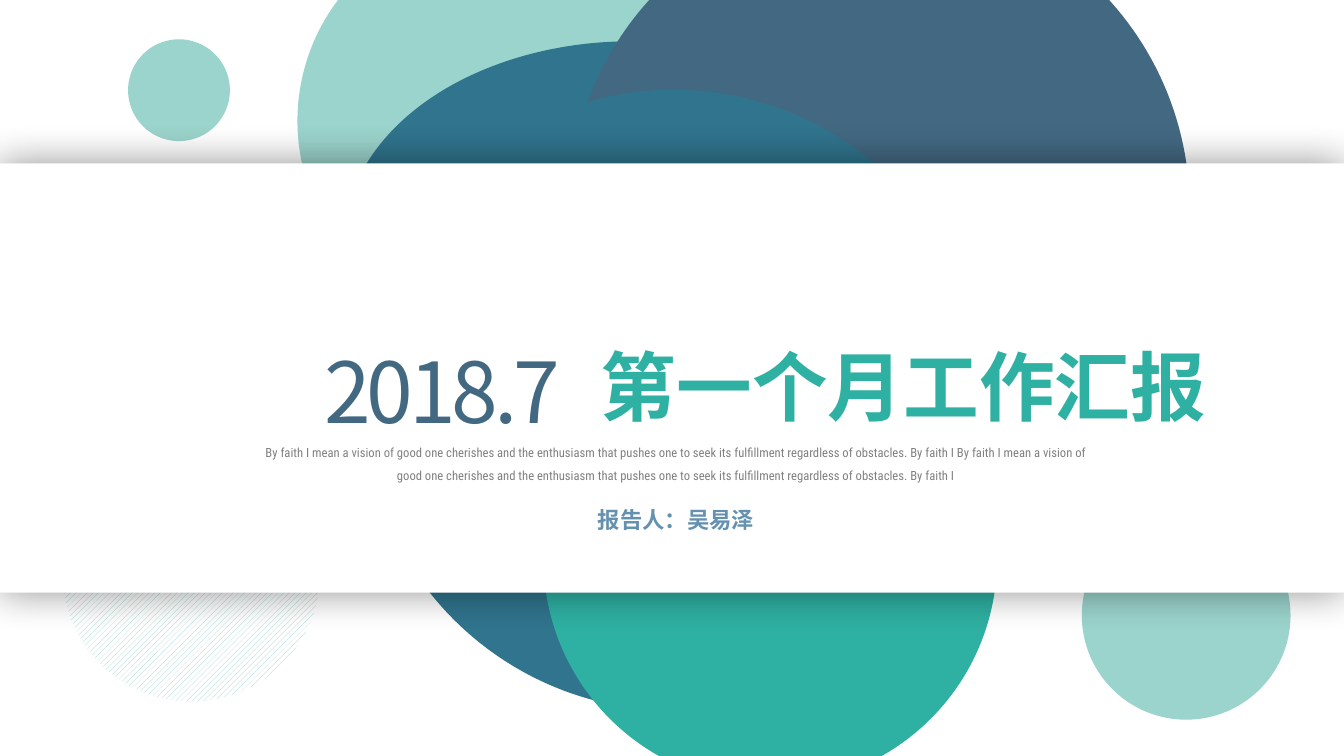
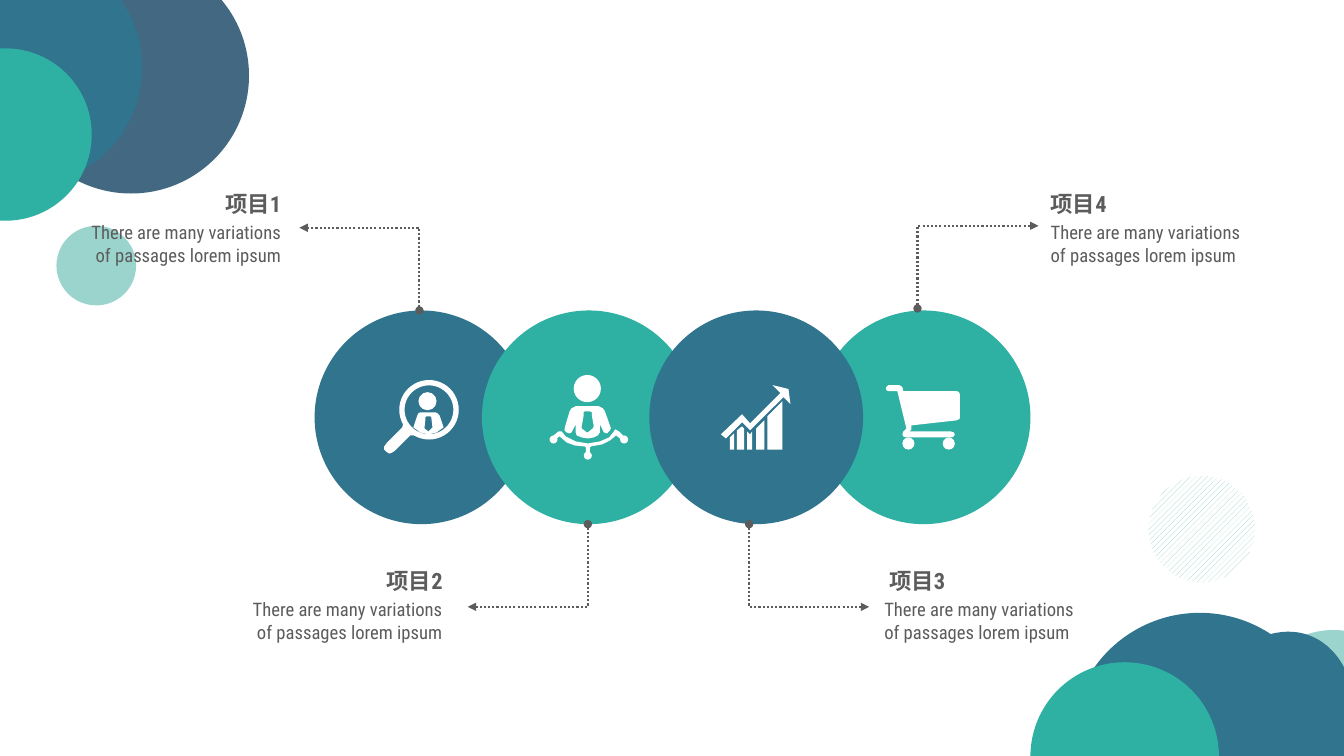
from copy import deepcopy
from dataclasses import dataclass
from typing import Optional

from pptx import Presentation
from pptx.dml.color import RGBColor
from pptx.enum.dml import MSO_LINE, MSO_PATTERN
from pptx.enum.shapes import MSO_CONNECTOR, MSO_SHAPE as Preset
from pptx.enum.text import MSO_ANCHOR, MSO_AUTO_SIZE, PP_ALIGN as Align
from pptx.oxml import parse_xml
from pptx.oxml.ns import nsdecls, qn
from pptx.oxml.xmlchemy import OxmlElement
from pptx.util import Inches, Pt


@dataclass(frozen=True)
class Theme:
    mint: RGBColor = RGBColor(0x9B, 0xD4, 0xCC)
    teal: RGBColor = RGBColor(0x2E, 0xB0, 0xA2)
    blue: RGBColor = RGBColor(0x30, 0x74, 0x8D)
    slate: RGBColor = RGBColor(0x43, 0x69, 0x82)
    sky: RGBColor = RGBColor(0x64, 0x91, 0xB0)
    gray: RGBColor = RGBColor(0x80, 0x80, 0x80)
    ink: RGBColor = RGBColor(0x5C, 0x5C, 0x5C)
    white: RGBColor = RGBColor(0xFF, 0xFF, 0xFF)
    cjk: str = "Noto Sans CJK SC"
    latin: str = "Roboto Condensed"
    date_size: float = 60
    title_size: float = 54
    heading_size: float = 16
    body_size: float = 13.3
    small_size: float = 9


THEME = Theme()
Points = list[tuple[int, int]]


@dataclass(frozen=True)
class Bubble:
    left: float
    top: float
    width: float
    color: RGBColor
    height: Optional[float] = None
    rotation: float = 0
    striped: bool = False


@dataclass(frozen=True)
class Style:
    size: float
    color: RGBColor
    font: str
    bold: bool = False
    tracking: int = 0


@dataclass(frozen=True)
class Item:
    heading: str
    left: float
    top: float
    align: Align
    start: tuple[float, float]
    end: tuple[float, float]
    indent_side: str = "marL"
    indent: float = 0


@dataclass(frozen=True)
class Icon:
    outlines: list[list[Points]]
    dots: list[Bubble]


HEADING = Style(THEME.heading_size, THEME.ink, THEME.latin, bold=True)
BODY = Style(THEME.body_size, THEME.ink, THEME.latin)
BODY_TEXT = "There are many variations\vof passages lorem ipsum"

COVER_BUBBLES = [
    Bubble(10.73, 5.07, 2.07, THEME.mint),
    Bubble(2.95, -0.79, 3.98, THEME.mint),
    Bubble(3.41, 0.41, 5.7, THEME.blue, height=3.98),
    Bubble(5.64, -1.01, 6.16, THEME.slate),
    Bubble(3.6, 0.89, 6.16, THEME.blue),
    Bubble(5.39, 3.29, 4.5, THEME.teal),
    Bubble(1.27, 0.39, 1.01, THEME.mint),
    Bubble(0.62, 4.4, 2.56, THEME.mint, striped=True),
]

CORNER_BUBBLES = [
    Bubble(0.56, 2.24, 0.79, THEME.mint),
    Bubble(0.13, -0.42, 2.34, THEME.slate),
    Bubble(-0.93, -0.5, 2.34, THEME.blue),
    Bubble(-0.8, 0.48, 1.71, THEME.teal),
    Bubble(12.4, 6.25, 1.65, THEME.mint),
    Bubble(11.39, 6.59, 2.37, THEME.blue, height=1.65, rotation=110.1),
    Bubble(10.62, 6.08, 2.56, THEME.blue),
    Bubble(10.22, 6.57, 1.87, THEME.teal),
    Bubble(11.39, 4.72, 1.06, THEME.mint, rotation=110.1, striped=True),
]

ITEMS = [
    Item("项目4", 10.42, 1.89, Align.LEFT, (9.1, 3.06), (10.3, 2.24)),
    Item("项目1", 0.81, 1.89, Align.RIGHT, (4.16, 3.08), (2.97, 2.26), "marR", 0.1),
    Item("项目3", 8.77, 5.63, Align.LEFT, (7.43, 5.2), (8.62, 6.02), "marL", 0.05),
    Item("项目2", 2.41, 5.63, Align.RIGHT, (5.83, 5.2), (4.64, 6.02), "marR", 0.1),
]

SEARCH = Icon(
    [
        [[(399, 424), (384, 439), (381, 443), (381, 446), (383, 448), (386, 450),
          (389, 449), (392, 447), (407, 432), (412, 432), (400, 420)]],
        [[(440, 424), (436, 412), (434, 410), (432, 409), (417, 409), (415, 410),
          (414, 412), (410, 424), (417, 429), (425, 431), (433, 429)],
         [(428, 425), (425, 428), (421, 425), (422, 416), (422, 414), (423, 413),
          (427, 413), (428, 414), (428, 416), (429, 424)]],
    ],
    [Bubble(4.15, 3.89, 0.18, THEME.white)],
)

LEADER = Icon(
    [
        [[(606, 425), (600, 408), (598, 405), (594, 403), (571, 403), (567, 405),
          (565, 408), (560, 425), (560, 427), (562, 429), (565, 430), (567, 429),
          (571, 421), (571, 429), (572, 432), (577, 434), (583, 435), (589, 434),
          (593, 432), (595, 429), (595, 421), (599, 429), (602, 430), (605, 427)],
         [(588, 425), (583, 429), (582, 429), (577, 425), (577, 423), (579, 412),
          (579, 409), (580, 408), (585, 408), (587, 409), (587, 412), (589, 423)]],
        [[(618, 432), (614, 428), (610, 426), (609, 428), (604, 434), (595, 438),
          (583, 440), (571, 438), (561, 433), (557, 428), (554, 428), (549, 432),
          (552, 435), (555, 433), (562, 439), (570, 442), (580, 443), (581, 444),
          (581, 449), (585, 449), (585, 444), (586, 443), (597, 441), (605, 437),
          (611, 432), (616, 436)]],
    ],
    [Bubble(5.69, 3.72, 0.27, THEME.white)]
    + [Bubble(x, y, 0.08, THEME.white) for x, y in ((5.45, 4.32), (5.79, 4.48), (6.15, 4.32))],
)

GROWTH = Icon(
    [
        [[(731, 427), (731, 446), (738, 446), (738, 425), (736, 423)]],
        [[(724, 446), (728, 446), (728, 430), (724, 434)]],
        [[(761, 413), (761, 446), (776, 446), (776, 398)]],
        [[(750, 425), (750, 446), (758, 446), (758, 417)]],
        [[(744, 431), (741, 428), (741, 446), (746, 446), (746, 428)]],
        [[(777, 394), (784, 401), (782, 386), (766, 382), (774, 390), (744, 420),
          (736, 411), (715, 431), (720, 435), (736, 419), (744, 427)]],
    ],
    [],
)

CART = Icon(
    [
        [[(952, 415), (951, 416), (949, 417), (904, 422), (904, 426), (902, 428),
          (943, 428), (946, 429), (947, 431), (946, 433), (943, 434), (899, 434),
          (896, 433), (895, 431), (896, 428), (899, 425), (890, 388), (881, 388),
          (879, 387), (879, 384), (881, 382), (892, 382), (895, 384), (896, 388),
          (949, 388), (951, 389), (952, 391)]],
    ],
    [Bubble(x, 4.34, 0.12, THEME.white) for x in (8.95, 9.35)],
)


def paint(shape, color: RGBColor) -> None:
    shape.shadow.inherit = False
    shape.fill.solid()
    shape.fill.fore_color.rgb = color
    shape.line.fill.background()


def add_preset(slide, preset: Preset, left: float, top: float, width: float,
               height: float, color: RGBColor):
    shape = slide.shapes.add_shape(
        preset, Inches(left), Inches(top), Inches(width), Inches(height))
    paint(shape, color)
    return shape


def add_bubble(slide, bubble: Bubble) -> None:
    circle = add_preset(slide, Preset.OVAL, bubble.left, bubble.top, bubble.width,
                        bubble.height or bubble.width, bubble.color)
    circle.rotation = bubble.rotation
    if bubble.striped:
        circle.fill.patterned()
        circle.fill.pattern = MSO_PATTERN.WIDE_UPWARD_DIAGONAL
        circle.fill.fore_color.rgb = bubble.color
        circle.fill.back_color.rgb = THEME.white


def add_icon(slide, icon: Icon) -> None:
    for contours in icon.outlines:
        builder = slide.shapes.build_freeform(*contours[0][0], scale=Inches(0.01))
        builder.add_line_segments(contours[0][1:], close=True)
        for contour in contours[1:]:
            builder.move_to(*contour[0])
            builder.add_line_segments(contour[1:], close=True)
        paint(builder.convert_to_shape(), THEME.white)
    for dot in icon.dots:
        add_bubble(slide, dot)


def format_paragraph(paragraph, style: Style, align: Align) -> None:
    paragraph.alignment = align
    for run in paragraph.runs:
        font = run.font
        font.size = Pt(style.size)
        font.bold = style.bold
        font.color.rgb = style.color
        font.name = style.font
        properties = run._r.get_or_add_rPr()
        east_asian = OxmlElement("a:ea")
        east_asian.set("typeface", style.font)
        properties.find(qn("a:latin")).addnext(east_asian)
        if style.tracking:
            properties.set("spc", str(style.tracking))
    for line_break in paragraph._p.findall(qn("a:br")):
        line_break.insert(0, deepcopy(paragraph.runs[0]._r.rPr))


def fill_frame(frame, text: str, styles: list[Style], align: Align, wrap: bool = True) -> None:
    frame.text = text
    frame.word_wrap = wrap
    frame.auto_size = MSO_AUTO_SIZE.NONE
    frame.vertical_anchor = MSO_ANCHOR.TOP
    for paragraph, style in zip(frame.paragraphs, styles):
        format_paragraph(paragraph, style, align)


def add_text(slide, left: float, top: float, width: float, height: float,
             text: str, styles: list[Style], align: Align):
    frame = slide.shapes.add_textbox(
        Inches(left), Inches(top), Inches(width), Inches(height)).text_frame
    fill_frame(frame, text, styles, align)
    return frame


def add_leader(slide, start: tuple[float, float], end: tuple[float, float]) -> None:
    leader = slide.shapes.add_connector(
        MSO_CONNECTOR.ELBOW, *(Inches(value) for value in start + end))
    leader.line.color.rgb = THEME.ink
    leader.line.width = Pt(1.5)
    leader.line.dash_style = MSO_LINE.ROUND_DOT
    for tag, kind in (("a:headEnd", "oval"), ("a:tailEnd", "triangle")):
        arrowhead = OxmlElement(tag)
        arrowhead.set("type", kind)
        leader.line._ln.append(arrowhead)
    properties = leader._element.spPr
    properties.append(OxmlElement("a:effectLst"))
    bend = OxmlElement("a:gd")
    bend.set("name", "adj1")
    bend.set("fmla", "val 0")
    properties.find(qn("a:prstGeom")).get_or_add_avLst().append(bend)


def add_item(slide, item: Item) -> None:
    add_leader(slide, item.start, item.end)
    frame = add_text(slide, item.left, item.top, 2.08, 0.76,
                     f"{item.heading}\n{BODY_TEXT}", [HEADING, BODY], item.align)
    frame.margin_left = frame.margin_right = frame.margin_top = frame.margin_bottom = 0
    heading, body = frame.paragraphs
    heading._p.get_or_add_pPr().set(item.indent_side, str(Inches(item.indent)))
    body.space_before = Pt(2.7)


def build_cover(deck) -> None:
    slide = deck.slides.add_slide(deck.slide_layouts[5])
    for bubble in COVER_BUBBLES:
        add_bubble(slide, bubble)
    band = add_preset(slide, Preset.RECTANGLE, 0, 1.62, 13.33, 4.26, THEME.white)
    band._element.spPr.find(qn("a:effectLst")).append(parse_xml(
        f'<a:outerShdw {nsdecls("a")} blurRad="{Pt(29)}" dist="0" dir="0" algn="ctr" '
        'rotWithShape="0"><a:srgbClr val="000000"><a:alpha val="41000"/></a:srgbClr>'
        '</a:outerShdw>'))

    title = slide.shapes.title
    title.left, title.top = Inches(5.83), Inches(3.32)
    title.width, title.height = Inches(6.26), Inches(1.01)
    fill_frame(title.text_frame, "第一个月工作汇报",
               [Style(THEME.title_size, THEME.teal, THEME.cjk, bold=True)],
               Align.CENTER, wrap=False)
    band._element.addnext(title._element)

    sentence = ("good one cherishes and the enthusiasm that pushes one to seek its "
                "fulfillment regardless of obstacles. By faith I")
    summary = add_text(slide, 2.49, 4.29, 8.42, 0.78,
                       f"By faith I mean a vision of {sentence} By faith I mean a vision of {sentence}",
                       [Style(THEME.small_size, THEME.gray, THEME.latin)], Align.CENTER)
    summary.paragraphs[0].line_spacing = 1.5
    add_text(slide, 3.12, 3.32, 4.33, 1.11, "2018.7",
             [Style(THEME.date_size, THEME.slate, THEME.cjk, tracking=-300)], Align.LEFT)
    add_text(slide, 4.65, 4.97, 4.11, 0.37, "报告人：吴易泽",
             [Style(THEME.heading_size, THEME.sky, THEME.cjk, bold=True)], Align.CENTER)


def build_items(deck) -> None:
    slide = deck.slides.add_slide(deck.slide_layouts[6])
    for bubble in CORNER_BUBBLES:
        add_bubble(slide, bubble)
    for step in (3, 0, 1, 2):
        add_bubble(slide, Bubble(3.12 + 1.66 * step, 3.08, 2.12,
                                 THEME.teal if step % 2 else THEME.blue))
    lens = add_preset(slide, Preset.DONUT, 3.96, 3.77, 0.59, 0.59, THEME.white)
    lens.adjustments[0] = 0.09
    for icon in (SEARCH, LEADER, GROWTH, CART):
        add_icon(slide, icon)
    for item in ITEMS:
        add_item(slide, item)


def main() -> None:
    deck = Presentation()
    deck.slide_width, deck.slide_height = Inches(13.33), Inches(7.5)
    build_cover(deck)
    build_items(deck)
    deck.save("out.pptx")


if __name__ == "__main__":
    main()
